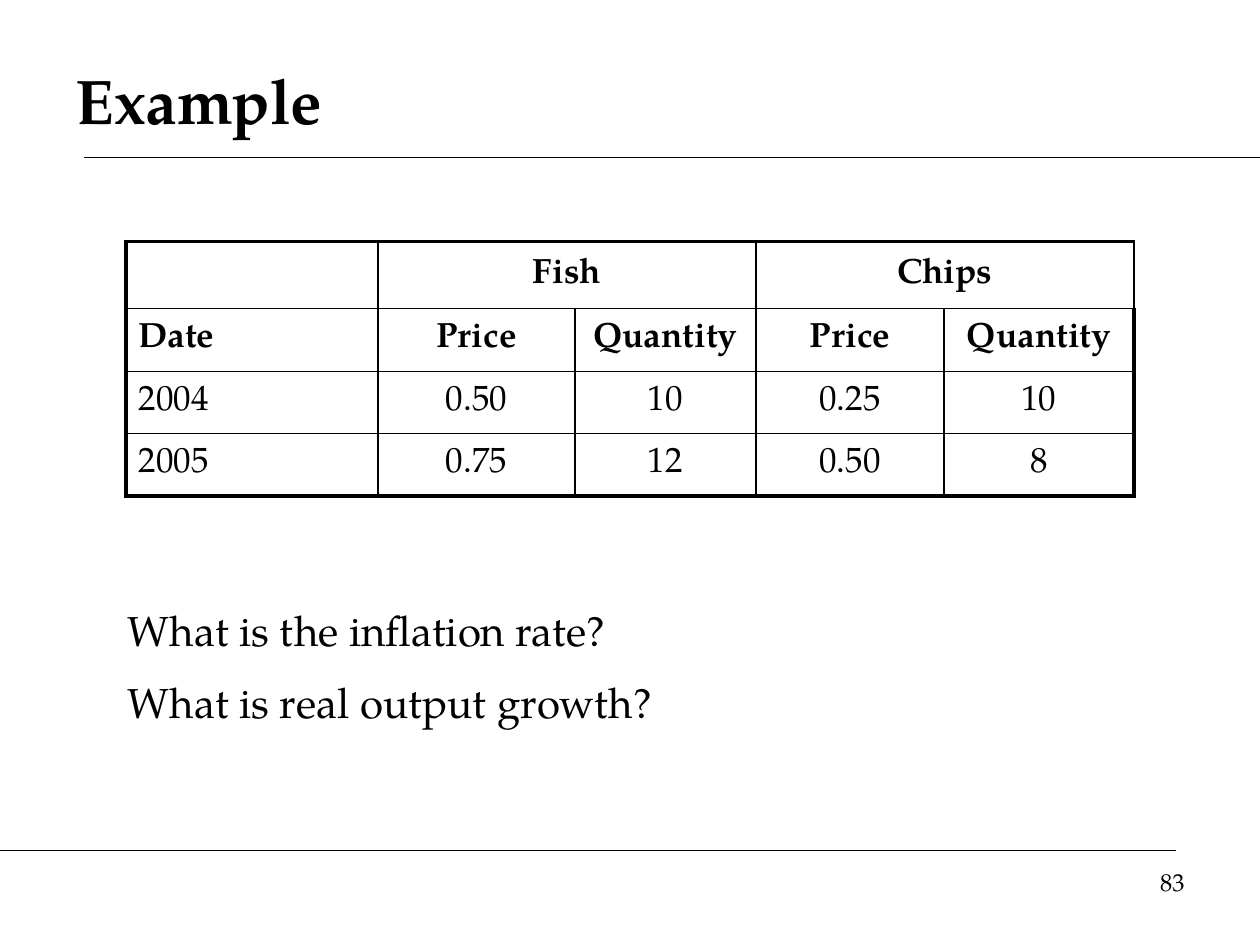
from pptx import Presentation
from pptx import util as u
from pptx.dml.color import RGBColor
from pptx.enum import shapes, text
from pptx.oxml.ns import qn
from lxml import etree

FONT = "TeX Gyre Pagella"
COLOURS = {"ink": "000000", "paper": "FFFFFF"}
THIN, THICK = 1, 2.25

COLUMN_WIDTHS = [144, 112.5, 103.5, 107.5, 108.5]
ROW_HEIGHTS = [38.2, 36, 35.6, 35.6]
ROWS = [
    ["", "Fish", "", "Chips", ""],
    ["Date", "Price", "Quantity", "Price", "Quantity"],
    ["2004", "0.50", "10", "0.25", "10"],
    ["2005", "0.75", "12", "0.50", "8"],
]
HEADER_ROWS = 2


def colour(name):
    return RGBColor.from_string(COLOURS[name])


def write(paragraph, words, size, bold=False, align=text.PP_ALIGN.LEFT):
    paragraph.alignment = align
    run = paragraph.add_run()
    run.text = words
    run.font.name = FONT
    run.font.size = u.Pt(size)
    run.font.bold = bold
    run.font.color.rgb = colour("ink")


def add_rule(slide, left, right, y):
    rule = slide.shapes.add_connector(
        shapes.MSO_CONNECTOR.STRAIGHT, u.Pt(left), u.Pt(y), u.Pt(right), u.Pt(y))
    rule.line.color.rgb = colour("ink")
    rule.line.width = u.Pt(0.75)
    etree.SubElement(rule._element.spPr, qn("a:effectLst"))


def add_title(slide, words):
    title = slide.shapes.title
    title.left, title.top = u.Pt(36), u.Pt(24)
    title.width, title.height = u.Pt(648), u.Pt(66)
    title.text_frame.vertical_anchor = text.MSO_ANCHOR.MIDDLE
    write(title.text_frame.paragraphs[0], words, 36, bold=True)


def add_text(slide, box, lines, size, align=text.PP_ALIGN.LEFT, gap=0):
    frame = slide.shapes.add_textbox(*map(u.Pt, box)).text_frame
    frame.word_wrap = True
    for index, line in enumerate(lines):
        paragraph = frame.add_paragraph() if index else frame.paragraphs[0]
        if index:
            paragraph.space_before = u.Pt(gap)
        write(paragraph, line, size, align=align)


def set_borders(cell, widths):
    """Draw the cell's left, right, top and bottom borders, ahead of its fill."""
    properties = cell._tc.get_or_add_tcPr()
    for index, (side, width) in enumerate(zip("LRTB", widths)):
        border = etree.Element(qn(f"a:ln{side}"), w=str(u.Pt(width)))
        fill = etree.SubElement(border, qn("a:solidFill"))
        etree.SubElement(fill, qn("a:srgbClr"), val=COLOURS["ink"])
        properties.insert(index, border)


def add_data_table(slide, left, top):
    last_row, last_column = len(ROWS) - 1, len(COLUMN_WIDTHS) - 1
    table = slide.shapes.add_table(
        len(ROWS), len(COLUMN_WIDTHS), u.Pt(left), u.Pt(top),
        u.Pt(sum(COLUMN_WIDTHS)), u.Pt(sum(ROW_HEIGHTS))).table
    table.first_row = table.horz_banding = False
    for column, width in zip(table.columns, COLUMN_WIDTHS):
        column.width = u.Pt(width)
    for row, height in zip(table.rows, ROW_HEIGHTS):
        row.height = u.Pt(height)

    # Each product heading spans its price and quantity columns
    for first in (1, 3):
        table.cell(0, first).merge(table.cell(0, first + 1))

    for r, row in enumerate(ROWS):
        for c, words in enumerate(row):
            cell = table.cell(r, c)
            cell.fill.background()
            cell.vertical_anchor = text.MSO_ANCHOR.MIDDLE
            outer_edges = (c == 0, c == last_column, r == 0, r == last_row)
            set_borders(cell, [THICK if outer else THIN for outer in outer_edges])
            if words:
                align = text.PP_ALIGN.CENTER if c else text.PP_ALIGN.LEFT
                write(cell.text_frame.paragraphs[0], words, 20, r < HEADER_ROWS, align)


def main():
    presentation = Presentation()
    presentation.slide_width, presentation.slide_height = u.Pt(720), u.Pt(540)
    slide = presentation.slides.add_slide(presentation.slide_layouts[5])
    slide.background.fill.solid()
    slide.background.fill.fore_color.rgb = colour("paper")

    # Header and footer rules
    add_rule(slide, 48, 720, 90)
    add_rule(slide, 0, 672, 486)

    # Title, price table and questions
    add_title(slide, "Example")
    add_data_table(slide, 72, 138)
    add_text(slide, (66, 342, 522, 79),
             ["What is the inflation rate?", "What is real output growth?"], 24, gap=12)

    # Page number
    add_text(slide, (516, 492, 168, 37.5), ["83"], 14, align=text.PP_ALIGN.RIGHT)

    presentation.save("out.pptx")


if __name__ == "__main__":
    main()
